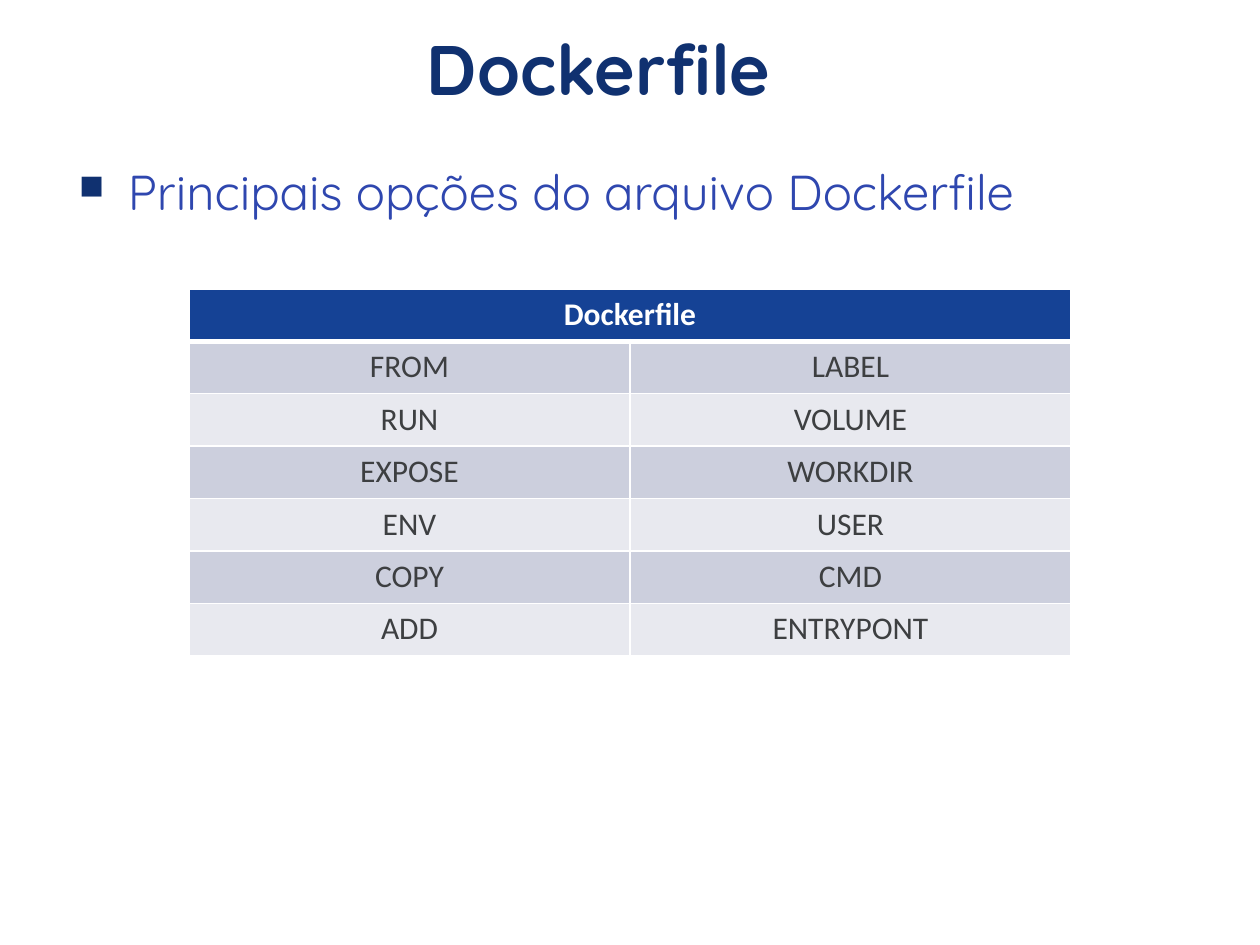
"""Build the Dockerfile options slide."""
from dataclasses import dataclass
from typing import NamedTuple

import lxml.etree
import pptx
import pptx.dml.color
import pptx.enum.text
import pptx.oxml.ns
import pptx.util

Pt = pptx.util.Pt
qn = pptx.oxml.ns.qn
Align = pptx.enum.text.PP_ALIGN


class TextStyle(NamedTuple):
    font: str
    size: float
    color: str
    bold: bool = False


@dataclass(frozen=True)
class Theme:
    title: TextStyle = TextStyle("Quicksand", 40, "103170", True)
    body: TextStyle = TextStyle("Quicksand", 28, "2F47AF")
    header: TextStyle = TextStyle("Calibri", 18, "FFFFFF", True)
    cell: TextStyle = TextStyle("Calibri", 18, "3D3F41")
    bullet: str = "103170"
    header_fill: str = "154295"
    bands: tuple[str, str] = ("CCCFDD", "E8E9EF")
    border: str = "FFFFFF"
    thin: float = 1
    thick: float = 3


class Box(NamedTuple):
    left: float
    top: float
    width: float
    height: float

    def lengths(self) -> list[pptx.util.Length]:
        return [Pt(value) for value in self]


class Option(NamedTuple):
    left: str
    right: str


THEME = Theme()
TITLE_BOX = Box(38, 18, 608, 49)
BODY_BOX = Box(38, 85.5, 642, 454)
TABLE_BOX = Box(108, 165, 504, 210)
OPTIONS = [
    Option("FROM", "LABEL"),
    Option("RUN", "VOLUME"),
    Option("EXPOSE", "WORKDIR"),
    Option("ENV", "USER"),
    Option("COPY", "CMD"),
    Option("ADD", "ENTRYPONT"),
]


def write(frame, text: str, style: TextStyle, align):
    """Put one styled paragraph in a text frame and return it."""
    frame.text = text
    para = frame.paragraphs[0]
    para.alignment = align
    para.font.name = style.font
    para.font.size = Pt(style.size)
    para.font.bold = style.bold
    para.font.color.rgb = pptx.dml.color.RGBColor.from_string(style.color)
    return para


def add_color(parent, color: str) -> None:
    """Append an RGB colour element."""
    lxml.etree.SubElement(parent, qn("a:srgbClr"), val=color)


def add_bullet(para, indent: float) -> None:
    """Give a paragraph a small square bullet with a hanging indent."""
    properties = para._p.get_or_add_pPr()
    properties.set("marL", str(Pt(indent)))
    properties.set("indent", str(-Pt(indent)))
    add_color(lxml.etree.SubElement(properties, qn("a:buClr")), THEME.bullet)
    lxml.etree.SubElement(properties, qn("a:buSzPct"), val="70000")
    lxml.etree.SubElement(properties, qn("a:buChar"), char="■")


def paint_cell(cell, fill: str, top: float, bottom: float) -> None:
    """Draw the borders of a cell and fill it."""
    properties = cell._tc.get_or_add_tcPr()
    widths = {"L": THEME.thin, "R": THEME.thin, "T": top, "B": bottom}
    for side, width in widths.items():
        line = lxml.etree.SubElement(properties, qn(f"a:ln{side}"), w=str(Pt(width)))
        add_color(lxml.etree.SubElement(line, qn("a:solidFill")), THEME.border)
    cell.fill.solid()
    cell.fill.fore_color.rgb = pptx.dml.color.RGBColor.from_string(fill)


def add_title(page, text: str) -> None:
    """Move and format the title placeholder."""
    title = page.shapes.title
    title.left, title.top, title.width, title.height = TITLE_BOX.lengths()
    frame = title.text_frame
    frame.auto_size = pptx.enum.text.MSO_AUTO_SIZE.NONE
    frame.vertical_anchor = pptx.enum.text.MSO_ANCHOR.BOTTOM
    write(frame, text, THEME.title, Align.CENTER).line_spacing = 0.9


def add_body(page, text: str) -> None:
    """Add the bulleted statement."""
    frame = page.shapes.add_textbox(*BODY_BOX.lengths()).text_frame
    frame.word_wrap = True
    para = write(frame, text, THEME.body, Align.JUSTIFY)
    para.line_spacing = 1.1
    para.space_before = Pt(18)
    add_bullet(para, 28)


def add_options(page, heading: str, options: list[Option]) -> None:
    """Add the banded table under its merged heading."""
    row_count = len(options) + 1
    table = page.shapes.add_table(row_count, 2, *TABLE_BOX.lengths()).table
    for row in table.rows:
        row.height = Pt(TABLE_BOX.height / row_count)
    table.cell(0, 0).merge(table.cell(0, 1))
    write(table.cell(0, 0).text_frame, heading, THEME.header, Align.CENTER)
    for column in range(2):
        paint_cell(table.cell(0, column), THEME.header_fill, THEME.thin, THEME.thick)
    for index, option in enumerate(options):
        top = THEME.thin if index else THEME.thick
        for column, text in enumerate(option):
            cell = table.cell(index + 1, column)
            write(cell.text_frame, text, THEME.cell, Align.CENTER)
            paint_cell(cell, THEME.bands[index % 2], top, THEME.thin)


def main() -> None:
    """Build and save the deck."""
    deck = pptx.Presentation()
    deck.slide_width, deck.slide_height = Pt(720), Pt(540)
    page = deck.slides.add_slide(deck.slide_layouts.get_by_name("Title Only"))
    add_title(page, "Dockerfile")
    add_body(page, "Principais opções do arquivo Dockerfile")
    add_options(page, "Dockerfile", OPTIONS)
    deck.save("out.pptx")


if __name__ == "__main__":
    main()
